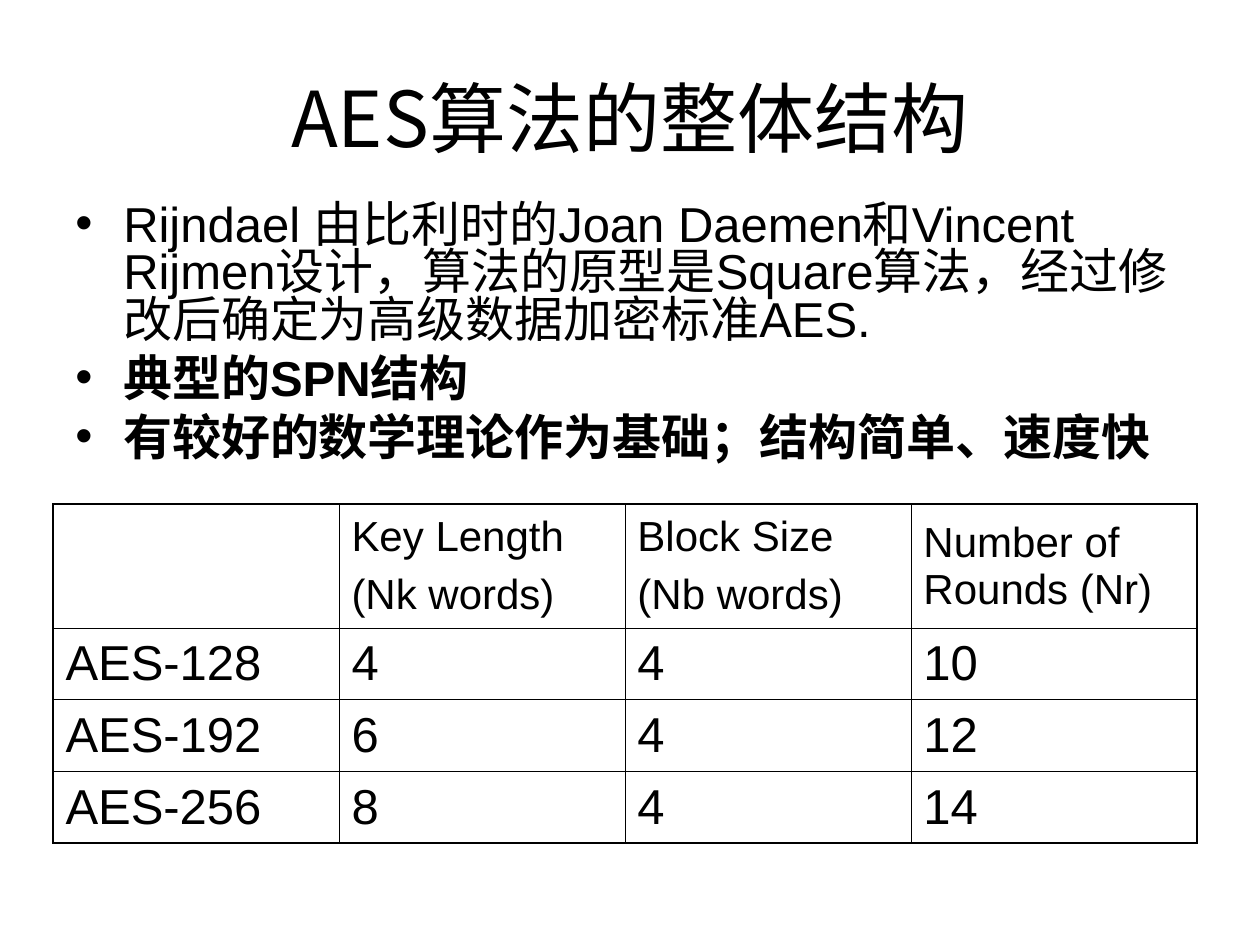
from lxml import etree
from pptx import Presentation
from pptx import util as u
from pptx.dml import color
from pptx.enum import text
from pptx.oxml import ns

BLACK = "000000"
CJK_FONT = "Noto Sans CJK SC"
BULLETS = [
    ("Rijndael 由比利时的Joan Daemen和Vincent Rijmen设计，算法的原型是Square算法，"
     "经过修改后确定为高级数据加密标准AES.", False),
    ("典型的SPN结构", True),
    ("有较好的数学理论作为基础；结构简单、速度快", True),
]
KEY_TABLE = [
    ["", "Key Length\n(Nk words)", "Block Size\n(Nb words)", "Number of Rounds (Nr)"],
    ["AES-128", "4", "4", "10"],
    ["AES-192", "6", "4", "12"],
    ["AES-256", "8", "4", "14"],
]
ROW_HEIGHTS = [0.98, 0.57, 0.57, 0.57]


def rgb(value):
    return color.RGBColor.from_string(value)


def add_element(parent, tag, **attributes):
    return etree.SubElement(parent, ns.qn(tag), attributes)


def style_paragraph(paragraph, size, name="Arial", bold=False):
    font = paragraph.font
    font.size = u.Pt(size)
    font.name = name
    font.bold = bold
    font.color.rgb = rgb(BLACK)
    defaults = paragraph._p.pPr.find(ns.qn("a:defRPr"))
    add_element(defaults, "a:ea", typeface=CJK_FONT)


def add_text_frame(slide, left, top, width, height):
    box = slide.shapes.add_textbox(
        u.Inches(left), u.Inches(top), u.Inches(width), u.Inches(height))
    box.text_frame.word_wrap = True
    return box.text_frame


def add_title(slide):
    frame = add_text_frame(slide, 0.5, 0.3, 9, 1.25)
    frame.vertical_anchor = text.MSO_ANCHOR.MIDDLE
    paragraph = frame.paragraphs[0]
    paragraph.text = "AES算法的整体结构"
    paragraph.alignment = text.PP_ALIGN.CENTER
    style_paragraph(paragraph, 44, CJK_FONT)


def add_bullets(slide):
    frame = add_text_frame(slide, 0.5, 1.58, 9.08, 2.25)
    for index, (content, bold) in enumerate(BULLETS):
        paragraph = frame.add_paragraph() if index else frame.paragraphs[0]
        paragraph.text = content
        paragraph.line_spacing = 0.8
        if index:
            paragraph.space_before = u.Pt(7)
        properties = paragraph._p.get_or_add_pPr()
        properties.set("marL", str(u.Inches(0.38)))
        properties.set("indent", str(-u.Inches(0.38)))
        add_element(properties, "a:buFont", typeface="Arial")
        add_element(properties, "a:buChar", char="•")
        style_paragraph(paragraph, 28, bold=bold)


def set_borders(cell, outer_sides):
    properties = cell._tc.get_or_add_tcPr()
    for side in "LRTB":
        width = u.Pt(1.08 if side in outer_sides else 0.45)
        line = add_element(properties, f"a:ln{side}", w=str(width))
        add_element(add_element(line, "a:solidFill"), "a:srgbClr", val=BLACK)


def fill_cell(cell, content, size):
    cell.text = content
    cell.vertical_anchor = text.MSO_ANCHOR.MIDDLE
    for index, paragraph in enumerate(cell.text_frame.paragraphs):
        if index:
            paragraph.space_before = u.Pt(6)
        style_paragraph(paragraph, size)


def add_key_table(slide):
    row_count, column_count = len(KEY_TABLE), len(KEY_TABLE[0])
    table = slide.shapes.add_table(
        row_count, column_count, u.Inches(0.42), u.Inches(4),
        u.Inches(9.08), u.Inches(sum(ROW_HEIGHTS))).table
    table.first_row = False
    table.horz_banding = False
    for row, height in zip(table.rows, ROW_HEIGHTS):
        row.height = u.Inches(height)
    for i, values in enumerate(KEY_TABLE):
        for j, content in enumerate(values):
            cell = table.cell(i, j)
            fill_cell(cell, content, 28 if i else 24)
            edges = {"T": i == 0, "B": i == row_count - 1,
                     "L": j == 0, "R": j == column_count - 1}
            set_borders(cell, [side for side, outer in edges.items() if outer])
            cell.fill.background()


def main():
    presentation = Presentation()
    presentation.slide_width = u.Inches(10)
    presentation.slide_height = u.Inches(7.5)
    slide = presentation.slides.add_slide(presentation.slide_layouts[6])
    add_title(slide)
    add_bullets(slide)
    add_key_table(slide)
    presentation.save("out.pptx")


if __name__ == "__main__":
    main()
